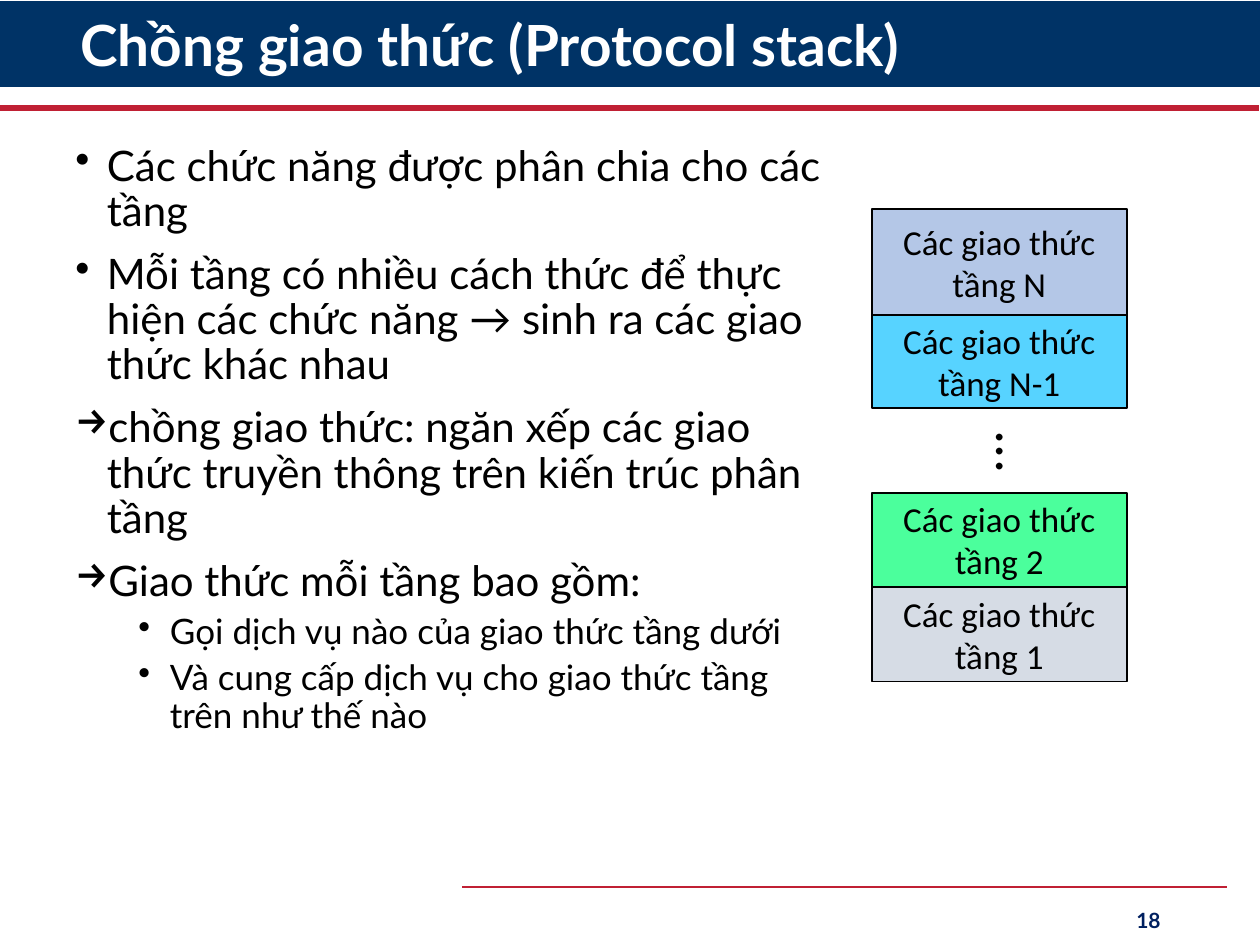
"""Build the protocol stack slide."""
from lxml import etree
from pptx import Presentation, util as u
from pptx.dml.color import RGBColor
from pptx.enum import shapes, text
from pptx.oxml.ns import qn

COLORS = {
    "navy": "003366", "red": "C02034", "white": "FFFFFF", "black": "000000",
    "number": "002060", "layer_n": "B4C7E7", "layer_n1": "57D3FF",
    "layer_2": "4BFF9C", "layer_1": "D6DCE5",
}


class StackSlide:
    """Hold the style and the current slide."""

    def __init__(self, deck, heading="Lato", label="Calibri"):
        """Add a blank slide to the deck."""
        self.slide = deck.slides.add_slide(deck.slide_layouts[6])
        self.heading, self.label = heading, label

    def color(self, key):
        """Return the named colour."""
        return RGBColor.from_string(COLORS[key])

    def run(self, paragraph, words, size, font, color="black", bold=False):
        """Add one styled run."""
        run = paragraph.add_run()
        run.text = words
        run.font.name, run.font.size, run.font.bold = font, u.Pt(size), bold
        run.font.color.rgb = self.color(color)

    def box(self, area, fill, outline=None):
        """Add a filled rectangle."""
        box = self.slide.shapes.add_shape(
            shapes.MSO_SHAPE.RECTANGLE, *map(u.Pt, area))
        box.shadow.inherit = False
        box.fill.solid()
        box.fill.fore_color.rgb = self.color(fill)
        if outline:
            box.line.color.rgb = self.color(outline)
            box.line.width = u.Pt(1)
        else:
            box.line.fill.background()
        return box

    def layer(self, area, fill, words):
        """Add one labelled layer of the stack."""
        frame = self.box(area, fill, "black").text_frame
        frame.word_wrap = True
        frame.vertical_anchor = text.MSO_ANCHOR.MIDDLE
        frame.paragraphs[0].alignment = text.PP_ALIGN.CENTER
        self.run(frame.paragraphs[0], words, 20, self.label)

    def rule(self, left, right, y, width):
        """Add a horizontal red rule."""
        rule = self.slide.shapes.add_connector(
            shapes.MSO_CONNECTOR.STRAIGHT, *map(u.Pt, (left, y, right, y)))
        rule.line.color.rgb = self.color("red")
        rule.line.width = u.Pt(width)
        etree.SubElement(rule._element.spPr, qn("a:effectLst"))

    def text_box(self, area, anchor=text.MSO_ANCHOR.TOP, rotation=0):
        """Add a wrapping text box and return its frame."""
        holder = self.slide.shapes.add_textbox(*map(u.Pt, area))
        holder.rotation = rotation
        holder.text_frame.word_wrap = True
        holder.text_frame.vertical_anchor = anchor
        return holder.text_frame

    def line(self, area, words, size, font, color="black", bold=False,
             align=text.PP_ALIGN.LEFT, spacing=1.0, rotation=0,
             anchor=text.MSO_ANCHOR.MIDDLE):
        """Add a single line of text."""
        paragraph = self.text_box(area, anchor, rotation).paragraphs[0]
        paragraph.alignment, paragraph.line_spacing = align, spacing
        self.run(paragraph, words, size, font, color, bold)

    def bullets(self, area, points):
        """Add a two-level list of (level, mark, words)."""
        frame = self.text_box(area)
        for index, (level, mark, words) in enumerate(points):
            paragraph = frame.add_paragraph() if index else frame.paragraphs[0]
            paragraph.level = level
            paragraph.line_spacing = 0.9
            paragraph.space_before = u.Pt((10, 5)[level] if index else 0)
            properties = paragraph._p.get_or_add_pPr()
            properties.set("marL", str(u.Pt((18, 54)[level])))
            properties.set("indent", str(u.Pt(-18)))
            etree.SubElement(properties, qn("a:buChar"), char=mark)
            self.run(paragraph, words, (24, 20)[level], self.heading)


def main():
    """Compose and save the slide."""
    deck = Presentation()
    deck.slide_width, deck.slide_height = u.Pt(720), u.Pt(540)
    page = StackSlide(deck)

    page.box((0, 0.7, 720, 49), "navy")
    page.rule(-0.7, 719.3, 61.9, 3.5)
    page.rule(264.3, 701.3, 506.9, 1.5)
    page.line((38.9, 5.8, 631.4, 43.9), "Chồng giao thức (Protocol stack)",
              32.4, page.heading, "white", True, spacing=0.9)
    page.bullets((36, 79.2, 444.2, 412.6), [
        (0, "•", "Các chức năng được phân chia cho các tầng"),
        (0, "•", "Mỗi tầng có nhiều cách thức để thực hiện các chức năng "
                 "→ sinh ra các giao thức khác nhau"),
        (0, "→", "chồng giao thức: ngăn xếp các giao thức truyền thông "
                 "trên kiến trúc phân tầng"),
        (0, "→", "Giao thức mỗi tầng bao gồm:"),
        (1, "•", "Gọi dịch vụ nào của giao thức tầng dưới"),
        (1, "•", "Và cung cấp dịch vụ cho giao thức tầng trên như thế nào"),
    ])
    page.line((508.3, 511.2, 162, 28.8), "18", 12, page.heading, "number",
              True, text.PP_ALIGN.RIGHT)

    for top, height, fill, level in (
            (119.5, 60.5, "layer_n", "N"), (180, 53.3, "layer_n1", "N-1"),
            (281.5, 54, "layer_2", "2"), (335.5, 54, "layer_1", "1")):
        page.layer((498.2, top, 145.7, height), fill,
                   f"Các giao thức tầng {level}")
    page.line((560.9, 236.9, 41.8, 46.1), "...", 32, page.label,
              rotation=90, anchor=text.MSO_ANCHOR.TOP)
    deck.save("out.pptx")


if __name__ == "__main__":
    main()
